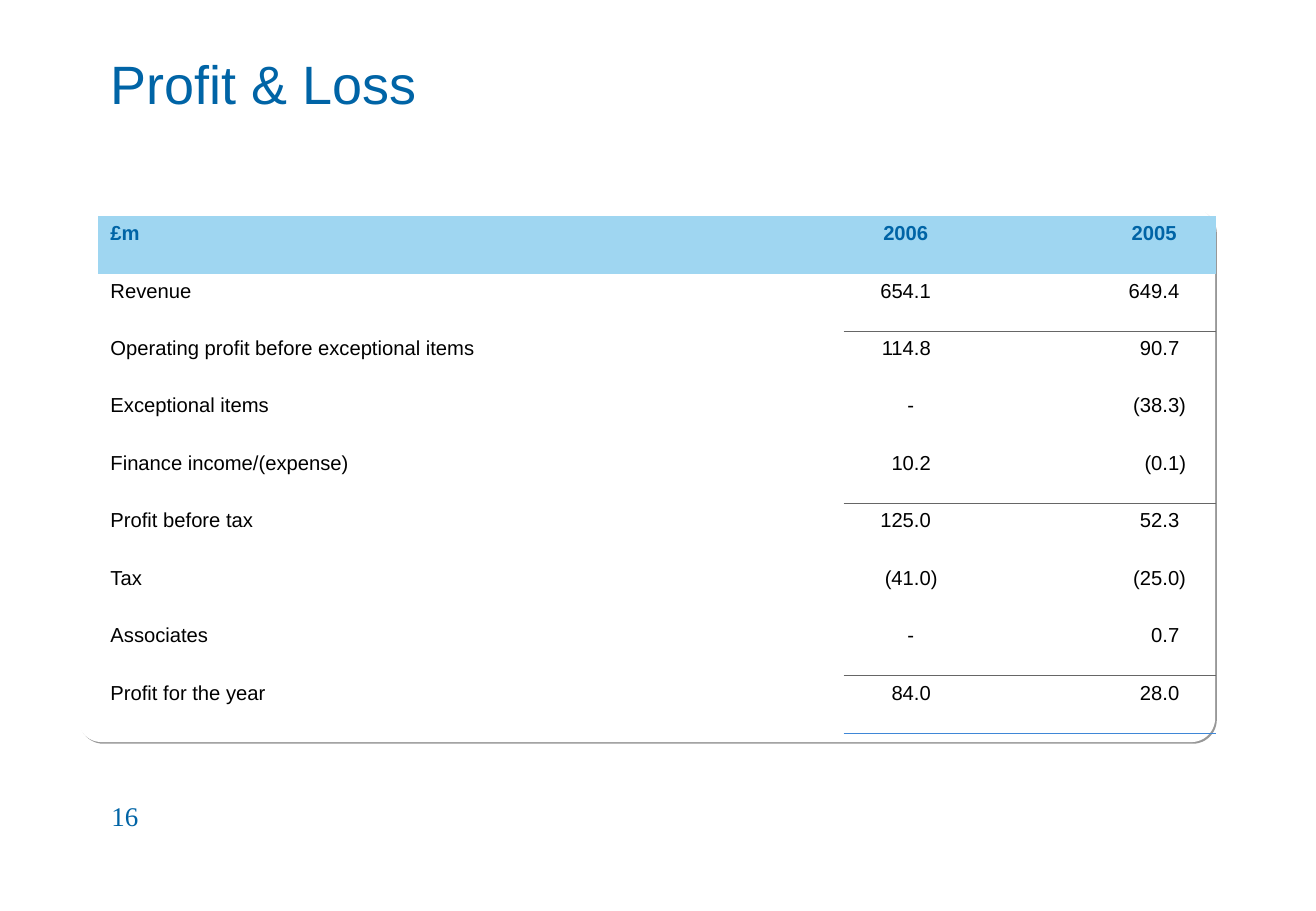
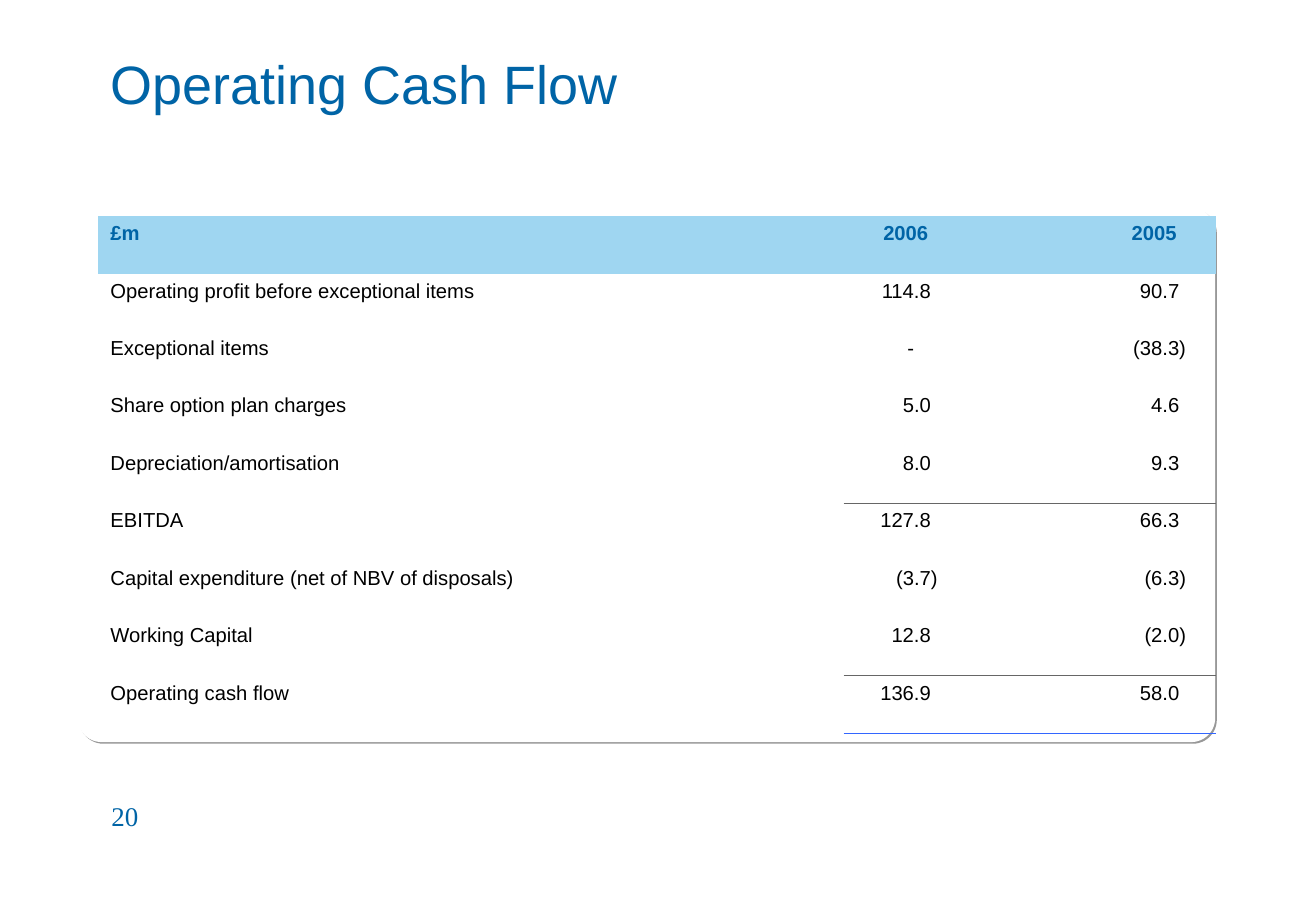
from lxml import etree
from pptx import Presentation
from pptx.dml.color import RGBColor
from pptx.enum.shapes import MSO_SHAPE
from pptx.enum.text import MSO_ANCHOR, PP_ALIGN
from pptx.oxml.ns import qn
from pptx.util import Pt

LEFT, CENTER = PP_ALIGN.LEFT, PP_ALIGN.CENTER
TOP, MIDDLE = MSO_ANCHOR.TOP, MSO_ANCHOR.MIDDLE
ROUNDED = MSO_SHAPE.ROUNDED_RECTANGLE

EMU_PER_PX = 9144
SLIDE_SIZE = (1084, 750)
TITLE_ONLY = 5
PLAIN_TABLE_STYLE = "{2D5ABB26-0587-4C30-8999-92F81FD0307C}"
COLORS = {
    "title": "0064A6",
    "header": "9FD6F1",
    "text": "000000",
    "panel": "FFFFFF",
    "shadow": "989898",
    "subtotal": "666666",
    "profit": "3F87D7",
    "cash": "3366FF",
}
COLUMN_COUNT = 9
LABEL_SPAN = 4
YEAR_COLUMNS = (6, 8)
RULED_COLUMNS = range(6, 9)
DECIMAL_TAB = 48
RULE_WIDTH = 0.45

PROFIT_ROWS = [
    ("Revenue", "654.1", "649.4"),
    ("Operating profit before exceptional items", "114.8", "90.7"),
    ("Exceptional items", "-", "(38.3)"),
    ("Finance income/(expense)", "10.2", "(0.1)"),
    ("Profit before tax", "125.0", "52.3"),
    ("Tax", "(41.0)", "(25.0)"),
    ("Associates", "-", "0.7"),
    ("Profit for the year", "84.0", "28.0"),
]
CASH_ROWS = [
    ("Operating profit before exceptional items", "114.8", "90.7"),
    ("Exceptional items", "-", "(38.3)"),
    ("Share option plan charges", "5.0", "4.6"),
    ("Depreciation/amortisation", "8.0", "9.3"),
    ("EBITDA", "127.8", "66.3"),
    ("Capital expenditure (net of NBV of disposals)", "(3.7)", "(6.3)"),
    ("Working Capital", "12.8", "(2.0)"),
    ("Operating cash flow", "136.9", "58.0"),
]


def px(length):
    return length * EMU_PER_PX


def box(left, top, width, height):
    return px(left), px(top), px(width), px(height)


def add_element(parent, tag, **attributes):
    element = etree.SubElement(parent, qn(tag))
    for name, value in attributes.items():
        element.set(name, str(value))
    return element


def write_text(text_frame, text, size=12, color="text", font="Arial",
               bold=False, align=LEFT, decimal_tab=None):
    paragraph = text_frame.paragraphs[0]
    paragraph.alignment = align
    if decimal_tab:
        tabs = add_element(paragraph._p.get_or_add_pPr(), "a:tabLst")
        add_element(tabs, "a:tab", pos=px(decimal_tab), algn="dec")
        text = "\t" + text
    run = paragraph.add_run()
    run.text = text
    run.font.name = font
    run.font.size = Pt(size)
    run.font.bold = bold
    run.font.color.rgb = RGBColor.from_string(COLORS[color])


def add_border(cell, tag, color):
    """Rule one side of a cell, or clear that side when color is None."""
    line = add_element(cell._tc.get_or_add_tcPr(), tag, w=Pt(RULE_WIDTH))
    if color:
        fill = add_element(line, "a:solidFill")
        add_element(fill, "a:srgbClr", val=COLORS[color])
    else:
        add_element(line, "a:noFill")


class Deck:
    """Holds the shared style and the slide being built."""

    def __init__(self):
        self.presentation = Presentation()
        self.presentation.slide_width, self.presentation.slide_height = map(px, SLIDE_SIZE)
        self.slide = None

    def start_slide(self, title):
        layout = self.presentation.slide_layouts[TITLE_ONLY]
        self.slide = self.presentation.slides.add_slide(layout)
        shape = self.slide.shapes.title
        shape.left, shape.top, shape.width, shape.height = box(81, 6, 921, 125)
        shape.text_frame.vertical_anchor = MIDDLE
        write_text(shape.text_frame, title, size=32, color="title")

    def panel(self):
        shape = self.slide.shapes.add_shape(ROUNDED, *box(64, 171, 937, 440))
        shape.adjustments[0] = 0.045
        shape.fill.solid()
        shape.fill.fore_color.rgb = RGBColor.from_string(COLORS["panel"])
        shape.line.fill.background()
        shape.shadow.inherit = False
        effects = shape._element.spPr.find(qn("a:effectLst"))
        shadow = add_element(effects, "a:outerShdw", blurRad=0, dist=Pt(1.4),
                             dir=45 * 60000, algn="ctr", rotWithShape=0)
        add_element(shadow, "a:srgbClr", val=COLORS["shadow"])

    def results_table(self, rows, rules):
        """Draw the yearly figures; rules maps a row to the colour of the line below it."""
        row_count = len(rows) + 2
        frame = self.slide.shapes.add_table(row_count, COLUMN_COUNT,
                                            *box(81, 178, 921, 473))
        table = frame.table
        table.first_row = table.horz_banding = False
        table._tbl.tblPr.find(qn("a:tableStyleId")).text = PLAIN_TABLE_STYLE
        for row in range(row_count):
            for column in range(COLUMN_COUNT):
                self.style_cell(table.cell(row, column), row, column, rules)
        self.fill_row(table, 0, ("£m", "2006", "2005"), {"align": CENTER},
                      color="title", bold=True)
        for row, entries in enumerate(rows, 1):
            table.cell(row, 0).merge(table.cell(row, LABEL_SPAN - 1))
            self.fill_row(table, row, entries, {"decimal_tab": DECIMAL_TAB})

    def style_cell(self, cell, row, column, rules):
        cell.vertical_anchor = TOP
        if column in RULED_COLUMNS:
            add_border(cell, "a:lnT", rules.get(row - 1))
            add_border(cell, "a:lnB", rules.get(row))
        if row == 0:
            cell.fill.solid()
            cell.fill.fore_color.rgb = RGBColor.from_string(COLORS["header"])
        else:
            cell.fill.background()

    def fill_row(self, table, row, entries, figure_format, **text_format):
        label, *figures = entries
        write_text(table.cell(row, 0).text_frame, label, **text_format)
        for column, figure in zip(YEAR_COLUMNS, figures):
            write_text(table.cell(row, column).text_frame, figure,
                       **figure_format, **text_format)

    def page_number(self, number):
        shape = self.slide.shapes.add_textbox(*box(82, 653, 226, 50))
        shape.text_frame.word_wrap = True
        write_text(shape.text_frame, str(number), size=16, color="title",
                   font="Times New Roman")


def main():
    slides = [
        ("Profit & Loss", PROFIT_ROWS, (1, 4, 7), "profit", 16),
        ("Operating Cash Flow", CASH_ROWS, (4, 7), "cash", 20),
    ]
    deck = Deck()
    for title, rows, subtotal_rows, total_color, number in slides:
        rules = dict.fromkeys(subtotal_rows, "subtotal")
        rules[len(rows)] = total_color
        deck.start_slide(title)
        deck.panel()
        deck.results_table(rows, rules)
        deck.page_number(number)
    deck.presentation.save("out.pptx")


if __name__ == "__main__":
    main()
